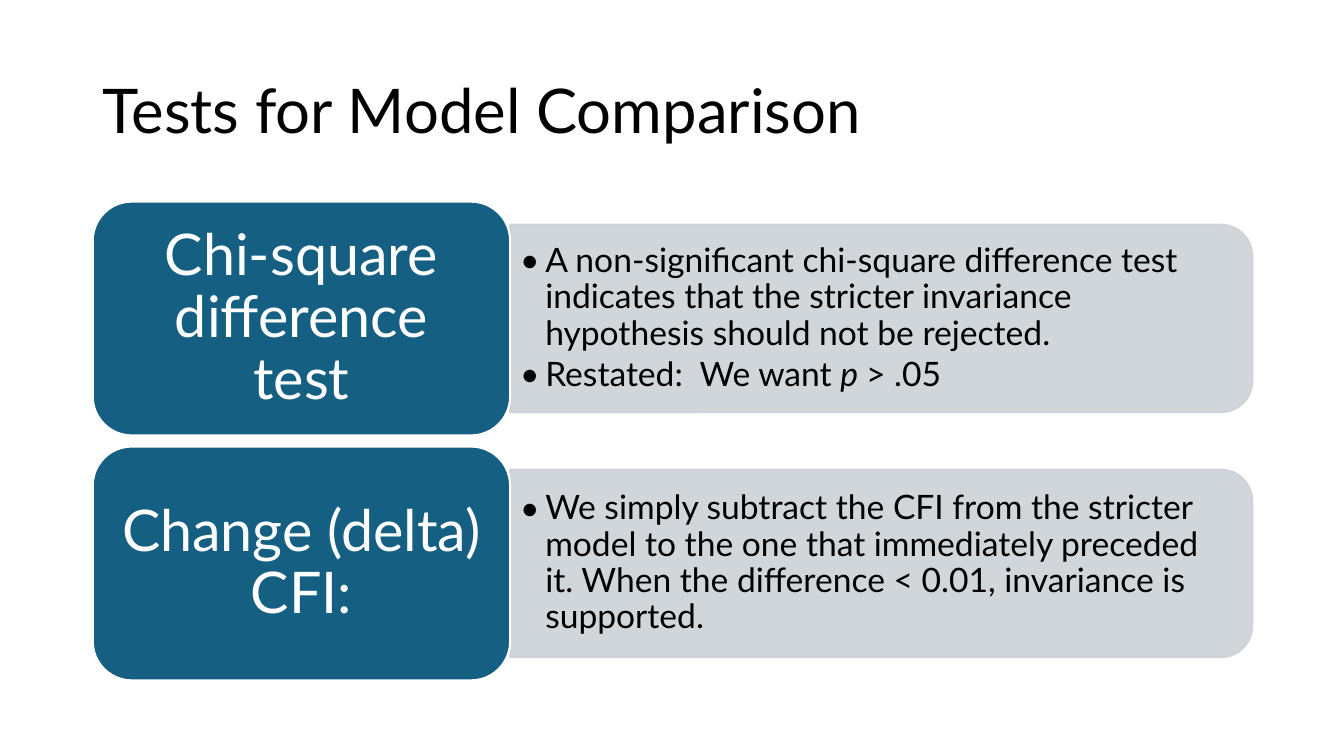
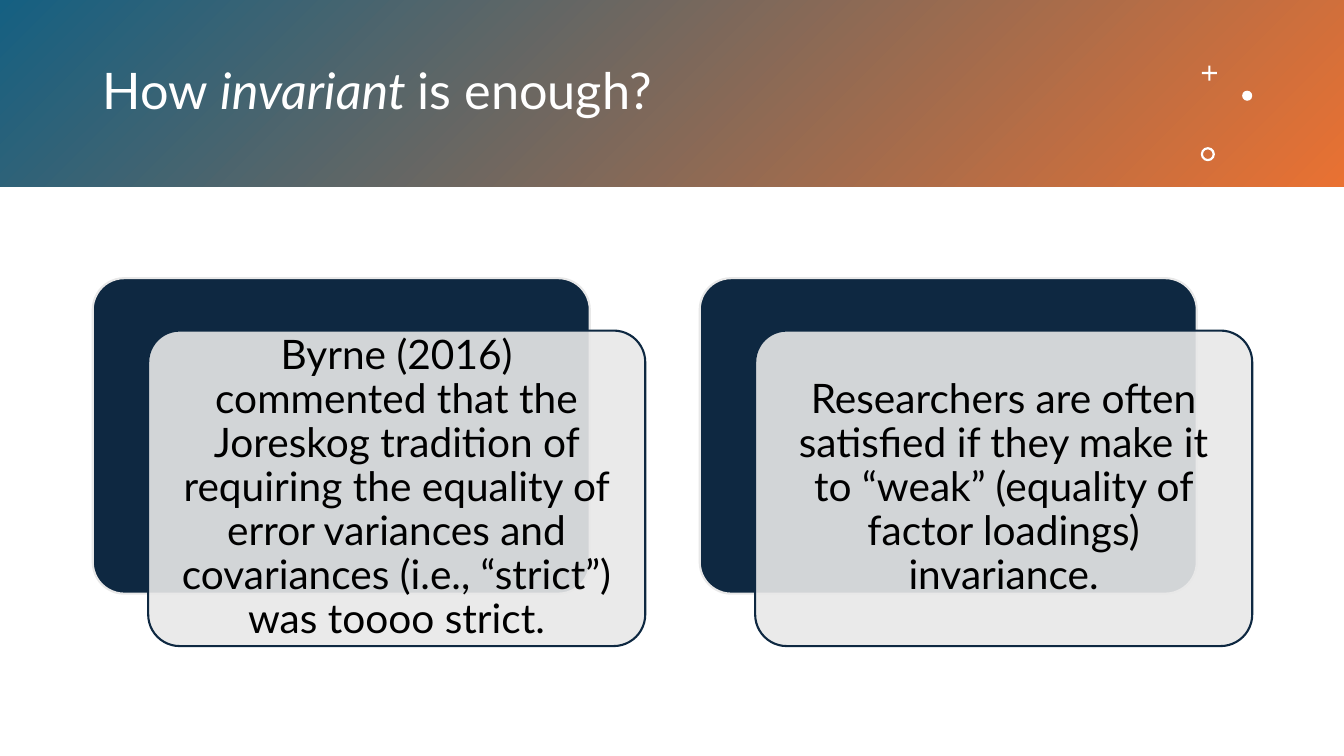
from dataclasses import dataclass

from lxml import etree
from pptx import Presentation
from pptx import util as u
from pptx.dml.color import RGBColor
from pptx.enum import shapes, text
from pptx.oxml.ns import qn

PX = 9144  # 100 px to the inch


@dataclass(frozen=True)
class Theme:
    font: str = "Lato"
    black: str = "000000"
    white: str = "FFFFFF"
    blue: str = "156082"
    navy: str = "0E2841"
    orange: str = "E97132"
    slate: str = "CCD2D8"
    pale: str = "E8E8E8"
    head: int = 44
    label: int = 41
    sub: int = 36
    card: int = 29
    body: int = 24


T = Theme()
KIND = shapes.MSO_SHAPE
LEFT, MID = text.PP_ALIGN.LEFT, text.PP_ALIGN.CENTER


def put(slide, kind, box, fill, line=None, alpha=(100, 100), adj=None):
    """Add a preset shape; alpha holds the opacity of fill and line."""
    shape = slide.shapes.add_shape(kind, *[n * PX for n in box])
    shape.shadow.inherit = False
    if adj is not None:
        shape.adjustments[0] = adj
    shape.fill.solid()
    shape.fill.fore_color.rgb = RGBColor.from_string(fill)
    if line:
        shape.line.width = u.Pt(1.5)
        shape.line.color.rgb = RGBColor.from_string(line)
    else:
        shape.line.fill.background()
    tints = shape.element.spPr.iter(qn("a:srgbClr"))
    for tint, part in zip(list(tints), alpha):
        if part < 100:
            etree.SubElement(tint, qn("a:alpha"), val=str(part * 1000))
    return shape


def write(shape, paras, size, color, align=LEFT, pad=(10, 5), bullet=False):
    """Fill a shape with paragraphs, each a list of (words, italic) runs."""
    frame = shape.text_frame
    frame.word_wrap = True
    frame.auto_size = text.MSO_AUTO_SIZE.NONE
    frame.vertical_anchor = text.MSO_ANCHOR.MIDDLE
    frame.margin_left = frame.margin_right = pad[0] * PX
    frame.margin_top = frame.margin_bottom = pad[1] * PX
    for i, runs in enumerate(paras):
        para = frame.add_paragraph() if i else frame.paragraphs[0]
        para.alignment = align
        para.line_spacing = 0.9
        para.space_before = u.Pt(0)
        if bullet:
            para.level = 1
            para.space_after = u.Pt(size * 0.15)
            props = para._p.get_or_add_pPr()
            props.set("marL", str(25 * PX))
            props.set("indent", str(-25 * PX))
            etree.SubElement(props, qn("a:buFont"), typeface=T.font)
            etree.SubElement(props, qn("a:buChar"), char="•")
        for words, slant in runs:
            run = para.add_run()
            run.text = words
            run.font.name = T.font
            run.font.size = u.Pt(size)
            run.font.italic = slant
            run.font.color.rgb = RGBColor.from_string(color)


deck = Presentation()
deck.slide_width, deck.slide_height = u.Inches(13.33), u.Inches(7.5)
plain = deck.slide_layouts[5]

# Slide 1: title
tests = deck.slides.add_slide(plain)
title = tests.shapes.title
title.left, title.top, title.width, title.height = [
    n * PX for n in (92, 40, 1150, 145)]
write(title, [[("Tests for Model Comparison", False)]], T.head, T.black)

# Slide 1: one row per test, label at left and points at right
rows = [
    ("Chi-square difference test", [
        [("A non-significant chi-square difference test indicates that the "
          "stricter invariance hypothesis should not be rejected.", False)],
        [("Restated:  We want ", False), ("p ", True), ("> .05", False)],
    ]),
    ("Change (delta) CFI:", [
        [("We simply subtract the CFI from the stricter model to the one "
          "that immediately preceded it. When the difference < 0.01, "
          "invariance is supported.", False)],
    ]),
]
wide, tall = 736, 186
turn = (wide - tall) // 2  # shift that keeps the centre of a turned bar
for i, (name, points) in enumerate(rows):
    top = 200 + 243 * i
    bar = put(tests, KIND.ROUND_2_SAME_RECTANGLE,
              (506 + turn, top + 23 - turn, tall, wide),
              T.slate, T.slate, (90, 90))
    bar.rotation = 90
    note = tests.shapes.add_textbox(
        *[n * PX for n in (506, top + 32, 727, 168)])
    write(note, points, T.body, T.black, bullet=True)
    label = put(tests, KIND.ROUNDED_RECTANGLE, (92, top, 414, 232),
                T.blue, T.white)
    write(label, [[(name, False)]], T.label, T.white, MID, (17, 9))

# Slide 2: gradient band, sent behind the title
enough = deck.slides.add_slide(plain)
band = put(enough, KIND.RECTANGLE, (0, 0, 1333, 185), T.blue)
band.fill.gradient()
band.fill.gradient_angle = 315
for stop, tint, spot in zip(band.fill.gradient_stops,
                            (T.blue, T.orange), (0, 1)):
    stop.color.rgb = RGBColor.from_string(tint)
    stop.position = spot
title = enough.shapes.title
title.element.addprevious(band.element)

# Slide 2: title
title.left, title.top, title.width, title.height = [
    n * PX for n in (92, 33, 1075, 119)]
write(title, [[("How ", False), ("invariant ", True), ("is enough?", False)]],
      T.sub, T.white)

# Slide 2: small marks on the band
marks = [
    (KIND.CROSS, (1192, 65, 15, 15), 0.43),
    (KIND.OVAL, (1232, 90, 10, 10), None),
    (KIND.DONUT, (1191, 146, 14, 14), 0.16),
]
for kind, box, adj in marks:
    put(enough, kind, box, T.white, adj=adj)

# Slide 2: cards, each over a dark backing
cards = [
    "Byrne (2016) commented that the Joreskog tradition of requiring the "
    "equality of error variances and covariances (i.e., “strict”) was "
    "toooo strict.",
    "Researchers are often satisfied if they make it to “weak” (equality of "
    "factor loadings) invariance.",
]
for i, words in enumerate(cards):
    left = 92 + 602 * i
    put(enough, KIND.ROUNDED_RECTANGLE, (left, 276, 493, 313),
        T.navy, T.pale, adj=0.1)
    card = put(enough, KIND.ROUNDED_RECTANGLE, (left + 55, 328, 493, 313),
               T.pale, T.navy, (90, 100), 0.1)
    write(card, [[(words, False)]], T.card, T.black, MID, (16, 12))

deck.save("out.pptx")
